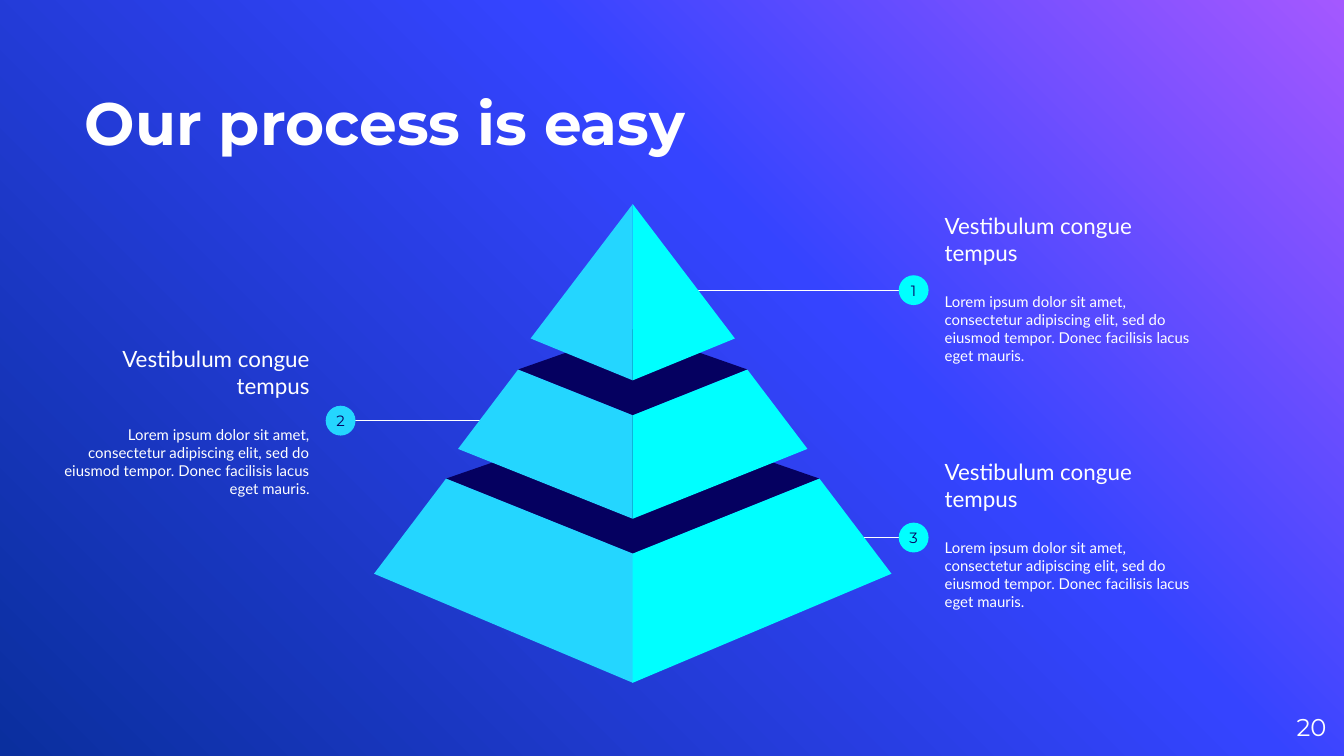
from copy import deepcopy

from pptx import Presentation
from pptx.dml.color import RGBColor
from pptx.enum.shapes import MSO_CONNECTOR, MSO_SHAPE
from pptx.enum.text import MSO_ANCHOR, PP_ALIGN
from pptx.oxml.ns import qn
from pptx.util import Pt

LEFT, CENTER, RIGHT = PP_ALIGN.LEFT, PP_ALIGN.CENTER, PP_ALIGN.RIGHT
MIDDLE, BOTTOM = MSO_ANCHOR.MIDDLE, MSO_ANCHOR.BOTTOM

COLORS = {
    "white": "FFFFFF",
    "navy": "050060",
    "cyan": "00FFFF",
    "sky": "24D6FF",
}
BACKGROUND_STOPS = [(0, "A458FF"), (0.39, "3544FF"), (1, "0A2F9E")]

HEADING = "Vestibulum congue tempus"
BODY = ("Lorem ipsum dolor sit amet, consectetur adipiscing elit, sed do "
        "eiusmod tempor. Donec facilisis lacus eget mauris.")

# Heights are measured down from the tip, half widths from the axis:
# lid half width, lid back, lid side, lid front, base half width, base side, base front
LEVELS = [
    (100, 112.4, 147, 187.2, 138.6, 198, 256.4),
    (61.4, 67, 88.6, 113.1, 93.6, 131.1, 168.5),
    (0, 0, 0, 0, 54.7, 72, 94.4),
]

# number, box, marker height, line start at the pyramid, colour, pyramid on the right
CALLOUTS = [
    ("3", (499, 231.8, 147, 108.7), 288, 451.4, "cyan", False),
    ("2", (26, 171.4, 147, 108.7), 225.4, 262, "sky", True),
    ("1", (499, 100, 147, 108.7), 155.5, 362.2, "cyan", False),
]
MARKER_SIZE = 16
MARKER_GAP = 9.5


def color(name):
    return RGBColor.from_string(COLORS[name])


def style(para, font, size, ink="white", align=LEFT, bold=False):
    para.alignment = align
    para.font.name = font
    para.font.size = Pt(size)
    para.font.bold = bold
    para.font.color.rgb = color(ink)


def set_frame(frame, anchor, inset=0):
    frame.word_wrap = True
    frame.vertical_anchor = anchor
    frame.margin_left = frame.margin_right = Pt(inset)
    frame.margin_top = frame.margin_bottom = Pt(inset)


def add_text(page, box, anchor, inset=0):
    """Add an empty text box and return its frame."""
    frame = page.shapes.add_textbox(*map(Pt, box)).text_frame
    set_frame(frame, anchor, inset)
    return frame


def fill_plain(shape, name):
    shape.shadow.inherit = False
    shape.fill.solid()
    shape.fill.fore_color.rgb = color(name)
    shape.line.fill.background()


def paint_background(page):
    fill = page.background.fill
    fill.gradient()
    fill.gradient_angle = 225
    stop_list = page.element.find(".//" + qn("a:gsLst"))
    stop_list.append(deepcopy(stop_list[-1]))
    for stop, (position, shade) in zip(fill.gradient_stops, BACKGROUND_STOPS):
        stop.position = position
        stop.color.rgb = RGBColor.from_string(shade)


def add_title(page, box):
    para = add_text(page, box, BOTTOM).paragraphs[0]
    para.text = "Our process is easy"
    style(para, "Montserrat", 32, bold=True)


def add_page_number(page, box):
    para = add_text(page, box, MIDDLE).paragraphs[0]
    para.text = "20"
    style(para, "Montserrat", 13, align=RIGHT)


def add_callout(page, number, box, marker_y, line_start, tint, faces_right):
    left, _, width, _ = box
    marker_x = left + width + MARKER_GAP if faces_right else left - MARKER_GAP
    radius = MARKER_SIZE / 2
    align = RIGHT if faces_right else LEFT

    line = page.shapes.add_connector(
        MSO_CONNECTOR.STRAIGHT, Pt(line_start), Pt(marker_y), Pt(marker_x), Pt(marker_y))
    line.line.color.rgb = color("white")
    line.line.width = Pt(0.75)
    properties = line.element.spPr
    properties.append(properties.makeelement(qn("a:effectLst"), {}))

    frame = add_text(page, box, MIDDLE, 7.2)
    heading, body = frame.paragraphs[0], frame.add_paragraph()
    heading.text, body.text = HEADING, BODY
    style(heading, "Lato", 12, align=align)
    style(body, "Lato", 8, align=align)
    body.space_before = Pt(14.4)

    marker = page.shapes.add_shape(
        MSO_SHAPE.OVAL, Pt(marker_x - radius), Pt(marker_y - radius),
        Pt(MARKER_SIZE), Pt(MARKER_SIZE))
    fill_plain(marker, tint)
    set_frame(marker.text_frame, MIDDLE)
    marker.text_frame.word_wrap = False
    para = marker.text_frame.paragraphs[0]
    para.text = number
    style(para, "Montserrat", 8, "navy", CENTER)


def add_polygon(page, points, name):
    start, *rest = [(Pt(x), Pt(y)) for x, y in points]
    builder = page.shapes.build_freeform(*start)
    builder.add_line_segments(rest, close=True)
    fill_plain(builder.convert_to_shape(), name)


def add_pyramid(page, box):
    left, top, width, _ = box
    axis = left + width / 2
    for lid_half, back, side, front, base_half, base_side, base_front in LEVELS:
        if lid_half:
            lid = [(axis - lid_half, top + side), (axis, top + front),
                   (axis + lid_half, top + side), (axis, top + back)]
            add_polygon(page, lid, "navy")
        for sign, name in ((-1, "sky"), (1, "cyan")):
            face = [(axis + sign * lid_half, top + side),
                    (axis + sign * base_half, top + base_side),
                    (axis, top + base_front)]
            if lid_half:
                face.append((axis, top + front))
            add_polygon(page, face, name)


def main():
    deck = Presentation()
    deck.slide_width, deck.slide_height = Pt(720), Pt(405)
    page = deck.slides.add_slide(deck.slide_layouts[6])
    paint_background(page)
    add_title(page, (45.4, 16.6, 473.8, 67.7))
    add_page_number(page, (667.4, 373.7, 43.2, 31))
    for callout in CALLOUTS:
        add_callout(page, *callout)
    add_pyramid(page, (200.4, 109.4, 277.2, 256.4))
    deck.save("out.pptx")


if __name__ == "__main__":
    main()
